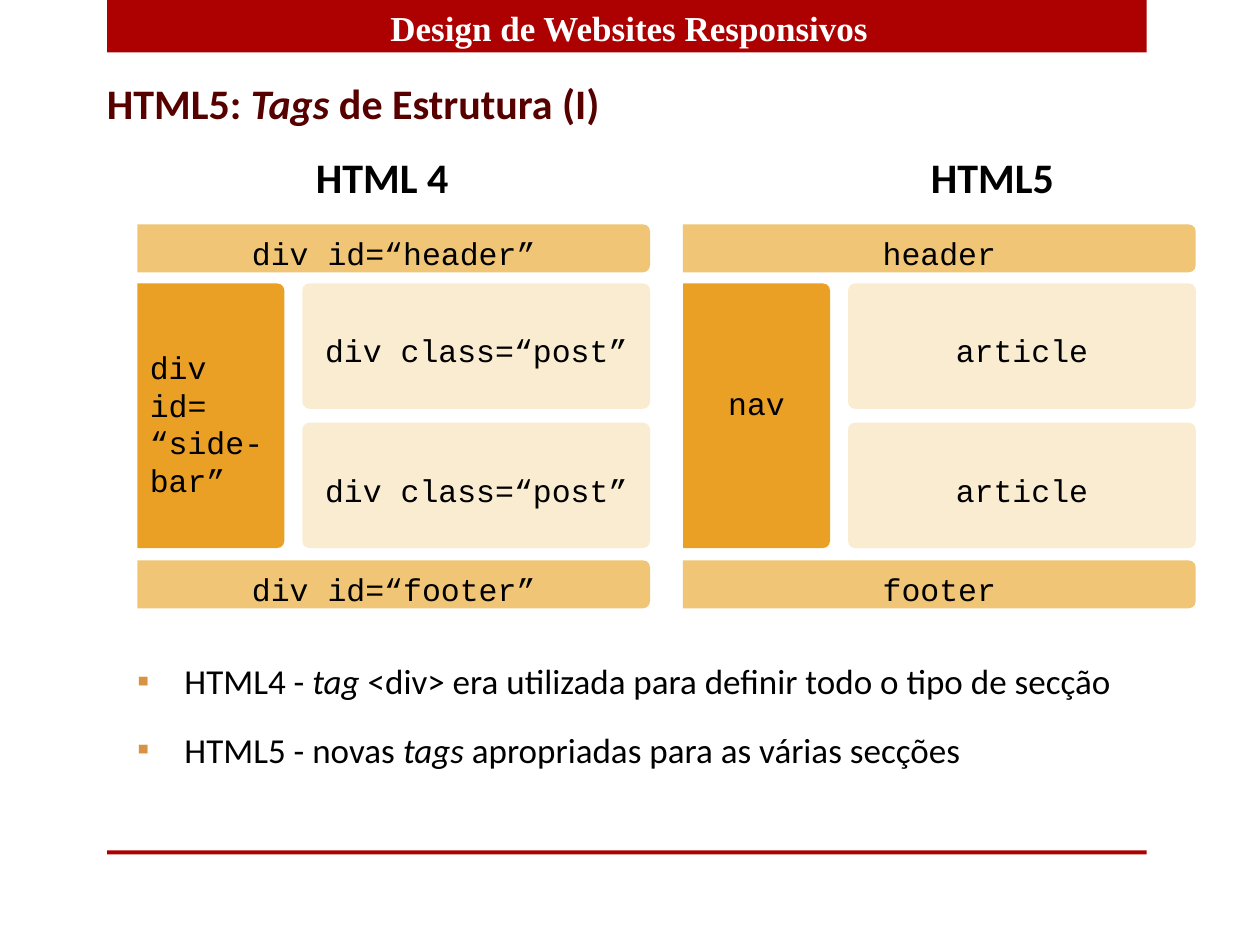
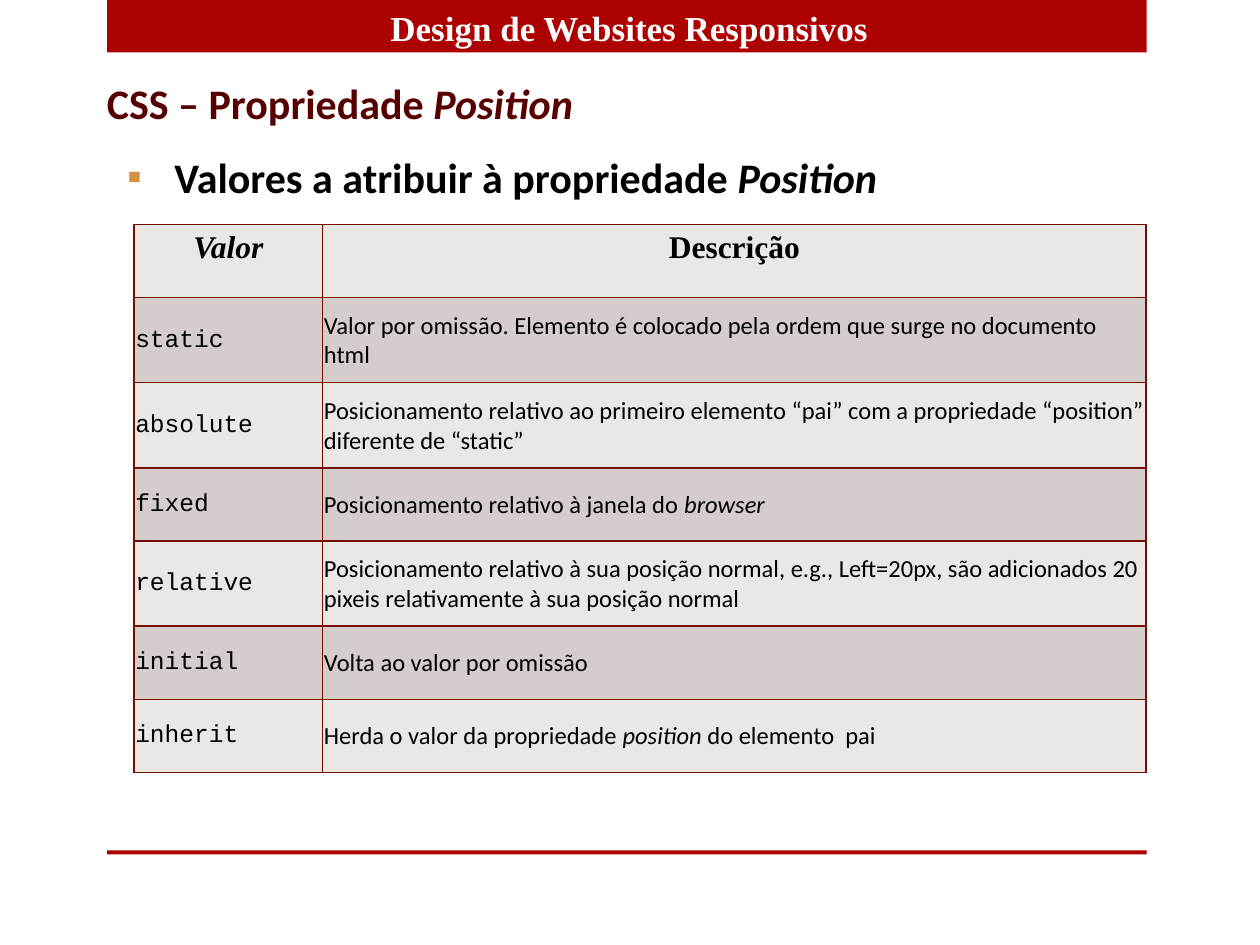
from dataclasses import dataclass
from math import cos, pi, sin

from lxml import etree
from pptx import Presentation
from pptx.dml.color import RGBColor
from pptx.enum.shapes import MSO_SHAPE
from pptx.enum.text import MSO_ANCHOR, PP_ALIGN
from pptx.oxml.ns import qn
from pptx.slide import Slide
from pptx.util import Pt

RECTANGLE = MSO_SHAPE.RECTANGLE
LEFT, CENTER = PP_ALIGN.LEFT, PP_ALIGN.CENTER
TOP, MIDDLE = MSO_ANCHOR.TOP, MSO_ANCHOR.MIDDLE

RED = RGBColor(0xAD, 0x01, 0x01)
DARK_RED = RGBColor(0x56, 0x00, 0x00)
BORDER_RED = RGBColor(0x73, 0x0E, 0x00)
BULLET_GOLD = RGBColor(0xD8, 0x92, 0x43)
SAND = RGBColor(0xF0, 0xC6, 0x76)
ORANGE = RGBColor(0xE9, 0xA0, 0x25)
CREAM = RGBColor(0xFA, 0xEC, 0xD1)
LIGHT_ROW = RGBColor(0xEB, 0xE7, 0xE7)
DARK_ROW = RGBColor(0xD5, 0xCC, 0xCC)
BLACK = RGBColor(0, 0, 0)
WHITE = RGBColor(0xFF, 0xFF, 0xFF)

SANS, MONO, SERIF = "Calibri", "Courier New", "Times New Roman"
BAND_LEFT, BAND_WIDTH = 61.2, 594
CORNER_RADIUS = 4
COLUMN_STEP = 311.8


@dataclass
class Block:
    left: float
    top: float
    width: float
    height: float
    color: RGBColor
    square_left: bool = True


LAYOUT_BLOCKS = [
    Block(78.5, 128.2, 293, 27.4, SAND),
    Block(78.5, 162, 84, 151.2, ORANGE),
    Block(172.8, 162, 198.7, 71.6, CREAM, False),
    Block(172.8, 241.6, 198.7, 71.6, CREAM, False),
    Block(78.5, 320.2, 293, 27.4, SAND),
]


@dataclass
class Label:
    text: str
    shift: float = 2.5
    alignment: PP_ALIGN = CENTER


@dataclass
class LayoutColumn:
    heading: str
    heading_left: float
    labels: list[Label]


LAYOUT_COLUMNS = [
    LayoutColumn("HTML 4", 173.4, [
        Label("div id=“header”"),
        Label("div id=\n“side-bar”", 4.5, LEFT),
        Label("div class=“post”"),
        Label("div class=“post”"),
        Label("div id=“footer”"),
    ]),
    LayoutColumn("HTML5", 524.8, [
        Label("header"),
        Label("nav", -7),
        Label("article"),
        Label("article"),
        Label("footer"),
    ]),
]

POSITION_ROWS = [
    ("*Valor*", "Descrição", 41.75),
    ("static", "Valor por omissão. Elemento é colocado pela ordem que surge no documento html", 48.75),
    ("absolute", "Posicionamento relativo ao primeiro elemento “pai” com a propriedade “position” "
                 "diferente de “static”", 48.75),
    ("fixed", "Posicionamento relativo à janela do *browser*", 41.75),
    ("relative", "Posicionamento relativo à sua posição normal, e.g., Left=20px, são adicionados 20 "
                 "pixeis relativamente à sua posição normal", 48.75),
    ("initial", "Volta ao valor por omissão", 41.75),
    ("inherit", "Herda o valor da propriedade *position* do elemento  pai", 41.75),
]


def write_text(text_frame, text: str, *, size: float, font: str = SANS, color: RGBColor = BLACK,
               bold: bool = False, alignment: PP_ALIGN = LEFT, spacing=None,
               gap: float = 0, bullet: bool = False) -> None:
    for index, line in enumerate(text.split("\n")):
        paragraph = text_frame.add_paragraph() if index else text_frame.paragraphs[0]
        paragraph.alignment = alignment
        if spacing is not None:
            paragraph.line_spacing = spacing
        if index:
            paragraph.space_before = Pt(gap)
        if bullet:
            add_bullet(paragraph)
        for part_index, part in enumerate(line.split("*")):
            if not part:
                continue
            run = paragraph.add_run()
            run.text = part
            run.font.size = Pt(size)
            run.font.name = font
            run.font.color.rgb = color
            run.font.bold = bold
            run.font.italic = part_index % 2 == 1


def add_bullet(paragraph) -> None:
    properties = paragraph._p.get_or_add_pPr()
    properties.set("marL", str(Pt(27)))
    properties.set("indent", str(-Pt(27)))
    bullet_color = etree.SubElement(properties, qn("a:buClr"))
    etree.SubElement(bullet_color, qn("a:srgbClr"), val=str(BULLET_GOLD))
    etree.SubElement(properties, qn("a:buFont"), typeface="Arial")
    etree.SubElement(properties, qn("a:buChar"), char="▪")


def add_text_box(slide: Slide, text: str, left: float, top: float, width: float, height: float,
                 *, wrap: bool = True, **text_format) -> None:
    text_frame = slide.shapes.add_textbox(Pt(left), Pt(top), Pt(width), Pt(height)).text_frame
    text_frame.word_wrap = wrap
    write_text(text_frame, text, **text_format)


def paint(shape, color: RGBColor) -> None:
    shape.shadow.inherit = False
    shape.fill.solid()
    shape.fill.fore_color.rgb = color
    shape.line.fill.background()


def add_band(slide: Slide, top: float, height: float) -> None:
    band = slide.shapes.add_shape(RECTANGLE, Pt(BAND_LEFT), Pt(top), Pt(BAND_WIDTH), Pt(height))
    paint(band, RED)


def add_titled_slide(presentation, title: str) -> Slide:
    slide = presentation.slides.add_slide(presentation.slide_layouts[6])
    add_band(slide, 0, 30)
    add_band(slide, 486, 2.2)
    add_text_box(slide, "Design de Websites Responsivos", 167, 0, 385.2, 31.5,
                 size=20, font=SERIF, color=WHITE, bold=True, alignment=CENTER)
    add_text_box(slide, title, 54, 41, 299, 36, wrap=False, size=24, color=DARK_RED, bold=True)
    return slide


def block_outline(block: Block, left: float) -> list[tuple[float, float]]:
    right, bottom = left + block.width, block.top + block.height
    left_radius = 0 if block.square_left else CORNER_RADIUS
    corners = [
        (right, block.top, -1, 1, CORNER_RADIUS, -90),
        (right, bottom, -1, -1, CORNER_RADIUS, 0),
        (left, bottom, 1, -1, left_radius, 90),
        (left, block.top, 1, 1, left_radius, 180),
    ]
    points = []
    for x, y, inward_x, inward_y, radius, start in corners:
        for step in range(4 if radius else 1):
            angle = (start + 30 * step) * pi / 180
            points.append((x + radius * (inward_x + cos(angle)), y + radius * (inward_y + sin(angle))))
    return points


def add_block(slide: Slide, block: Block, label: Label, offset: float) -> None:
    points = [(Pt(x), Pt(y)) for x, y in block_outline(block, block.left + offset)]
    builder = slide.shapes.build_freeform(*points[0])
    builder.add_line_segments(points[1:], close=True)
    shape = builder.convert_to_shape()
    paint(shape, block.color)
    text_frame = shape.text_frame
    text_frame.word_wrap = True
    text_frame.vertical_anchor = MIDDLE
    text_frame.margin_top = Pt(max(0, 2 * label.shift))
    text_frame.margin_bottom = Pt(max(0, -2 * label.shift))
    write_text(text_frame, label.text, size=18, font=MONO, alignment=label.alignment,
               spacing=Pt(21.5))


def style_cell(cell, color: RGBColor, is_header: bool) -> None:
    cell.fill.solid()
    cell.fill.fore_color.rgb = color
    cell.vertical_anchor = TOP if is_header else MIDDLE
    if not is_header:
        cell.margin_left = cell.margin_right = cell.margin_top = Pt(0.72)
        cell.margin_bottom = 0
    properties = cell._tc.get_or_add_tcPr()
    for index, side in enumerate(("a:lnL", "a:lnR", "a:lnT", "a:lnB")):
        border = etree.Element(qn(side), w=str(Pt(1)))
        border_fill = etree.SubElement(border, qn("a:solidFill"))
        etree.SubElement(border_fill, qn("a:srgbClr"), val=str(BORDER_RED))
        properties.insert(index, border)


def add_position_table(slide: Slide) -> None:
    total_height = sum(height for _, _, height in POSITION_ROWS)
    table = slide.shapes.add_table(len(POSITION_ROWS), 2, Pt(76.6), Pt(128.2),
                                   Pt(578.4), Pt(total_height)).table
    table.columns[0].width = Pt(107.8)
    table.columns[1].width = Pt(470.6)
    for row_index, (value, description, height) in enumerate(POSITION_ROWS):
        table.rows[row_index].height = Pt(height)
        is_header = row_index == 0
        color = DARK_ROW if row_index % 2 else LIGHT_ROW
        for column_index, (text, font) in enumerate(((value, MONO), (description, SANS))):
            cell = table.cell(row_index, column_index)
            style_cell(cell, color, is_header)
            write_text(cell.text_frame, text, size=18 if is_header else 14,
                       font=SERIF if is_header else font, bold=is_header,
                       alignment=CENTER if is_header else LEFT)


def build_structure_slide(presentation) -> None:
    slide = add_titled_slide(presentation, "HTML5: *Tags* de Estrutura (I)")
    for column_index, column in enumerate(LAYOUT_COLUMNS):
        add_text_box(slide, column.heading, column.heading_left, 88.6, 110, 36,
                     size=24, bold=True, spacing=0.8)
        for block, label in zip(LAYOUT_BLOCKS, column.labels):
            add_block(slide, block, label, column_index * COLUMN_STEP)
    add_text_box(slide, "HTML4 - *tag* <div> era utilizada para definir todo o tipo de secção\n"
                        "HTML5 - novas *tags* apropriadas para as várias secções",
                 71.3, 378, 634.3, 108, size=20, spacing=0.8, gap=20, bullet=True)


def build_position_slide(presentation) -> None:
    slide = add_titled_slide(presentation, "CSS – Propriedade *Position*")
    add_text_box(slide, "Valores a atribuir à propriedade *Position*", 65.5, 88.6, 654.5, 39.6,
                 size=24, bold=True, spacing=0.8, bullet=True)
    add_position_table(slide)


def main() -> None:
    presentation = Presentation()
    presentation.slide_width, presentation.slide_height = Pt(720), Pt(540)
    build_structure_slide(presentation)
    build_position_slide(presentation)
    presentation.save("out.pptx")


if __name__ == "__main__":
    main()
